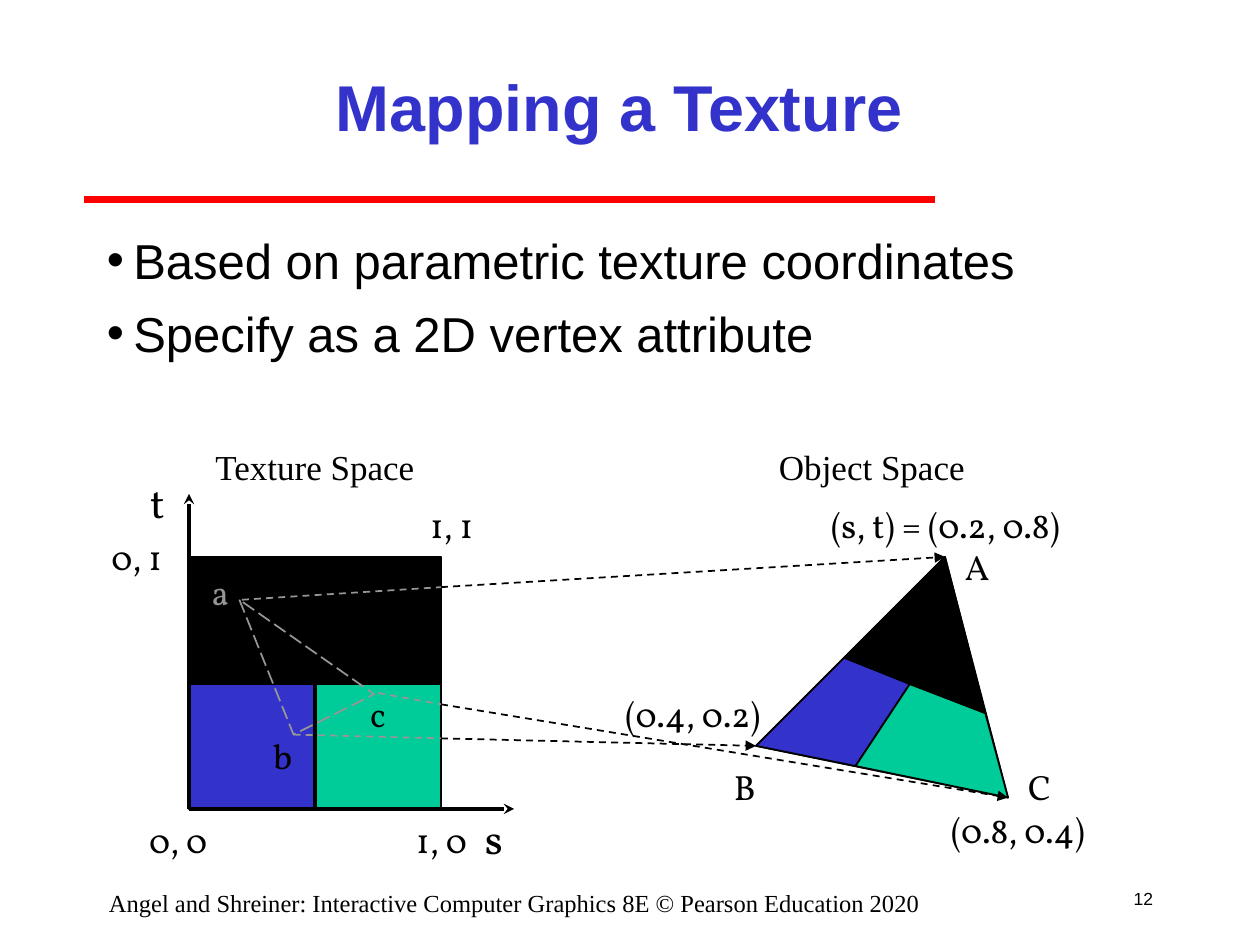
from lxml import etree
from pptx import Presentation
from pptx.dml.color import RGBColor
from pptx.enum.dml import MSO_LINE
from pptx.enum.shapes import MSO_CONNECTOR, MSO_SHAPE
from pptx.enum.text import MSO_ANCHOR, PP_ALIGN
from pptx.oxml.ns import qn
from pptx.util import Pt

STRAIGHT, RECTANGLE = MSO_CONNECTOR.STRAIGHT, MSO_SHAPE.RECTANGLE
DASH, LONG_DASH = MSO_LINE.DASH, MSO_LINE.LONG_DASH
LEFT, CENTER, RIGHT = PP_ALIGN.LEFT, PP_ALIGN.CENTER, PP_ALIGN.RIGHT
TOP, MIDDLE = MSO_ANCHOR.TOP, MSO_ANCHOR.MIDDLE

PX = 9144  # EMU per px, 100 px to the inch
COLORS = {"black": "000000", "blue": "3333CC", "green": "00CC99",
          "red": "FF0000", "gray": "969696"}
SANS, SERIF, MATH = "Arial", "Times New Roman", "Vollkorn"

# Content
TITLE = "Mapping a Texture"
BULLETS = ["Based on parametric texture coordinates",
           "Specify as a 2D vertex attribute"]
FOOTER = "Angel and Shreiner: Interactive Computer Graphics 8E © Pearson Education 2020"
PAGE_NUMBER = "12"

# Texture space: origin, side and the triangle a, b, c inside it
ORIGIN_X, ORIGIN_Y, SIDE = 150, 642, 200
HALF = SIDE // 2
RIGHT_X, TOP_Y = ORIGIN_X + SIDE, ORIGIN_Y - SIDE
MID_X, MID_Y = ORIGIN_X + HALF, ORIGIN_Y - HALF
a, b, c = (190, 476), (233, 583), (297, 551)

# Object space: triangle A, B, C and the points that divide it
A, B, C = (750, 442), (600, 592), (800, 633)
ON_AB, ON_AC, ON_BC, INNER = (670, 522), (782, 566), (679, 608), (722, 543)

TILES = [  # left, top, width, height, colour
    (ORIGIN_X, MID_Y, HALF, HALF, "blue"),
    (MID_X, MID_Y, HALF, HALF, "green"),
    (ORIGIN_X, TOP_Y, SIDE, HALF, "black"),
]
TEXTURE_LINES = [  # start, end, arrowhead
    ((ORIGIN_X, ORIGIN_Y), (ORIGIN_X, 392), "stealth"),
    ((ORIGIN_X, ORIGIN_Y), (408, ORIGIN_Y), "stealth"),
    ((ORIGIN_X, MID_Y), (RIGHT_X, MID_Y), None),
    ((MID_X, MID_Y), (MID_X, ORIGIN_Y), None),
]
OBJECT_PARTS = [
    ([ON_AB, INNER, ON_BC, B], "blue"),
    ([INNER, ON_AC, C, ON_BC], "green"),
    ([ON_AB, A, ON_AC], "black"),
]
MAPPINGS = [  # start inside the texture, crossing of its right edge, target
    ((192, 476), (RIGHT_X, 466), A),
    (b, (RIGHT_X, 586), B),
    ((300, 550), (RIGHT_X, 559), C),
]
LABELS = [  # text, left, top, width, size, font, colour
    ("s", 374, 640, 36, 24, MATH, "black"),
    ("t", 109, 373, 32, 24, MATH, "black"),
    ("1, 1", 325, 395, 67, 20, MATH, "black"),
    ("0, 1", 75, 420, 67, 20, MATH, "black"),
    ("0, 0", 108, 645, 67, 20, MATH, "black"),
    ("1, 0", 317, 645, 67, 20, MATH, "black"),
    ("(s, t) = (0.2, 0.8)", 643, 395, 215, 20, MATH, "black"),
    ("(0.4, 0.2)", 485, 545, 130, 20, MATH, "black"),
    ("(0.8, 0.4)", 743, 637, 130, 20, MATH, "black"),
    ("A", 756, 428, 38, 20, MATH, "black"),
    ("B", 572, 603, 38, 20, MATH, "black"),
    ("C", 806, 603, 38, 20, MATH, "black"),
    ("a", 157, 448, 36, 20, MATH, "gray"),
    ("b", 206, 578, 37, 20, MATH, "black"),
    ("c", 283, 545, 34, 20, MATH, "black"),
    ("Texture Space", 160, 349, 180, 20, SERIF, "black"),
    ("Object Space", 608, 349, 168, 20, SERIF, "black"),
]

prs = Presentation()
prs.slide_width, prs.slide_height = 1000 * PX, 750 * PX
slide = prs.slides.add_slide(prs.slide_layouts[6])
shapes = slide.shapes


def rgb(color):
    return RGBColor.from_string(COLORS[color])


def style_shape(shape, fill, line, dash=None):
    shape.shadow.inherit = False
    if fill:
        shape.fill.solid()
        shape.fill.fore_color.rgb = rgb(fill)
    else:
        shape.fill.background()
    shape.line.color.rgb = rgb(line)
    shape.line.width = Pt(1)
    if dash:
        shape.line.dash_style = dash


def add_rectangle(left, top, width, height, fill=None):
    rectangle = shapes.add_shape(RECTANGLE, left * PX, top * PX, width * PX, height * PX)
    style_shape(rectangle, fill, "black")


def add_polygon(points, fill=None, line="black", dash=None):
    start, *others = [(x * PX, y * PX) for x, y in points]
    builder = shapes.build_freeform(*start)
    builder.add_line_segments(others, close=True)
    style_shape(builder.convert_to_shape(), fill, line, dash)


def add_line(start, end, width, color="black", dash=None, arrow=None):
    line = shapes.add_connector(STRAIGHT, *(v * PX for v in start + end))
    line.line.color.rgb = rgb(color)
    line.line.width = Pt(width)
    if dash:
        line.line.dash_style = dash
    if arrow:
        etree.SubElement(line.line._get_or_add_ln(), qn("a:tailEnd"), type=arrow)
    etree.SubElement(line._element.spPr, qn("a:effectLst"))


def add_text(lines, left, top, width, height, size, font, color="black",
             align=CENTER, anchor=TOP, wrap=True, bold=False, bullet=False):
    frame = shapes.add_textbox(left * PX, top * PX, width * PX, height * PX).text_frame
    frame.word_wrap = wrap
    frame.vertical_anchor = anchor
    frame.text = "\n".join(lines)
    for index, paragraph in enumerate(frame.paragraphs):
        paragraph.alignment = align
        if index:
            paragraph.space_before = Pt(8)
        if bullet:
            props = paragraph._p.get_or_add_pPr()
            props.set("marL", str(21 * PX))
            props.set("indent", str(-21 * PX))
            etree.SubElement(props, qn("a:buFont"), typeface=SANS)
            etree.SubElement(props, qn("a:buChar"), char="•")
        for run in paragraph.runs:
            run.font.name, run.font.size, run.font.bold = font, Pt(size), bold
            run.font.color.rgb = rgb(color)


# Heading, bullets and page number
add_line((67, 158), (742, 158), 4, "red")
add_text([TITLE], 150, 25, 683, 117, 37, SANS, "blue", anchor=MIDDLE, bold=True)
add_text(BULLETS, 75, 178, 850, 160, 28, SANS, align=LEFT, bullet=True)
add_text([PAGE_NUMBER], 883, 692, 42, 42, 10, SANS, align=RIGHT, anchor=MIDDLE, wrap=False)

# Texture square with its axes and inner triangle
for left, top, width, height, fill in TILES:
    add_rectangle(left, top, width, height, fill)
add_rectangle(ORIGIN_X, TOP_Y, SIDE, SIDE)
for start, end, arrow in TEXTURE_LINES:
    add_line(start, end, 2, arrow=arrow)
add_polygon([a, b, c], line="gray", dash=LONG_DASH)

# Textured triangle
add_polygon([A, B, C])
for points, fill in OBJECT_PARTS:
    add_polygon(points, fill)

# Mapping from texture points to vertices
for start, crossing, vertex in MAPPINGS:
    add_line(start, crossing, 1, "gray", DASH)
    add_line(crossing, vertex, 1, dash=DASH, arrow="triangle")

# Labels and footer
for text, left, top, width, size, font, color in LABELS:
    add_text([text], left, top, width, 50 if size == 24 else 43, size, font, color, wrap=False)
add_text([FOOTER], 50, 700, 717, 25, 14, SERIF)

prs.save("out.pptx")
